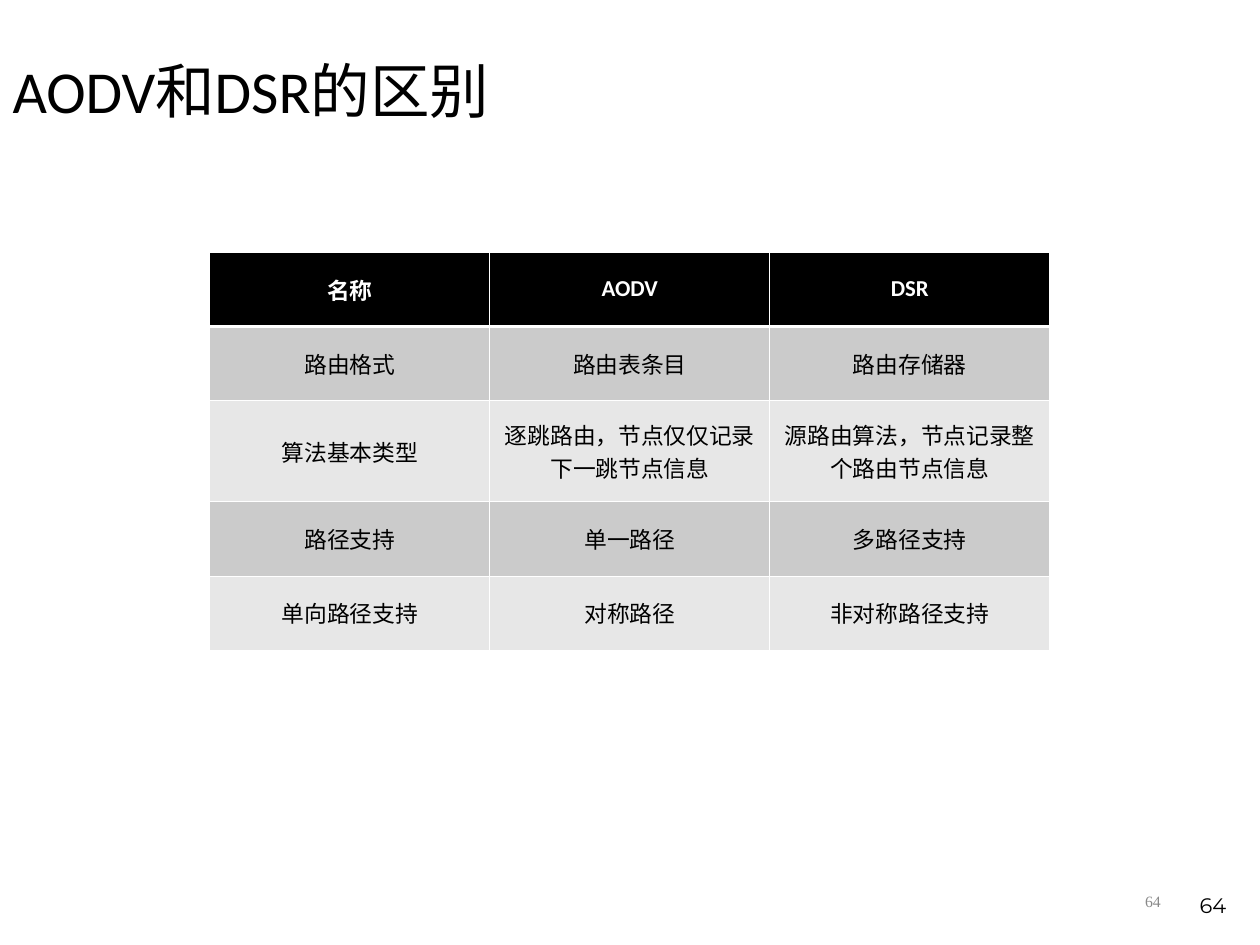
from lxml.etree import SubElement
from pptx import Presentation
from pptx.dml.color import RGBColor
from pptx.enum.text import MSO_ANCHOR as Anchor, PP_ALIGN as Align
from pptx.oxml.ns import qn
from pptx.util import Cm, Pt


def format_text(paragraph, size, font_name, color, align, bold=False):
    paragraph.alignment = align
    for run in paragraph.runs:
        run.font.size = Pt(size)
        run.font.name = font_name
        run.font.bold = bold
        run.font.color.rgb = RGBColor.from_string(color)


def add_border(cell, side, width):
    """Draw a white line on one side (lnL, lnR, lnT or lnB); call before the fill is set."""
    line = SubElement(cell._tc.get_or_add_tcPr(), qn(f"a:{side}"), w=str(Pt(width)))
    solid = SubElement(line, qn("a:solidFill"))
    SubElement(solid, qn("a:srgbClr"), val="FFFFFF")


prs = Presentation()
prs.slide_width, prs.slide_height = Cm(25.4), Cm(19.05)
slide = prs.slides.add_slide(prs.slide_layouts[5])

title = slide.shapes.title
title.left, title.top, title.width, title.height = Cm(0), Cm(0.64), Cm(22.28), Cm(2.54)
title.text_frame.text = "AODV和DSR的区别"
title.text_frame.vertical_anchor = Anchor.MIDDLE
heading = title.text_frame.paragraphs[0]
heading.line_spacing = 0.9
format_text(heading, 34, "Calibri", "000000", Align.LEFT)

# left, top, width, height, anchor, size, font, colour
page_numbers = [
    (17.93, 17.65, 5.72, 1.02, Anchor.MIDDLE, 9, "Times New Roman", "898989"),
    (19.05, 17.35, 5.92, 1.27, Anchor.BOTTOM, 12, "Montserrat", "000000"),
]
for left, top, width, height, anchor, size, font_name, color in page_numbers:
    number = slide.shapes.add_textbox(Cm(left), Cm(top), Cm(width), Cm(height)).text_frame
    number.word_wrap = True
    number.vertical_anchor = anchor
    number.text = "64"
    format_text(number.paragraphs[0], size, font_name, color, Align.RIGHT)

comparison = [
    ("名称", "AODV", "DSR"),
    ("路由格式", "路由表条目", "路由存储器"),
    ("算法基本类型", "逐跳路由，节点仅仅记录下一跳节点信息", "源路由算法，节点记录整个路由节点信息"),
    ("路径支持", "单一路径", "多路径支持"),
    ("单向路径支持", "对称路径", "非对称路径支持"),
]
row_heights = [1.5, 1.5, 2.03, 1.5, 1.5]
row_fills = ["000000", "CBCBCB", "E7E7E7", "CBCBCB", "E7E7E7"]
thin, thick = 0.45, 1.47

table = slide.shapes.add_table(
    len(comparison), 3, Cm(4.23), Cm(5.08), Cm(16.93), Cm(sum(row_heights))
).table
for r, labels in enumerate(comparison):
    table.rows[r].height = Cm(row_heights[r])
    is_header = r == 0
    for c, label in enumerate(labels):
        cell = table.cell(r, c)
        add_border(cell, "lnL", thin)
        add_border(cell, "lnR", thin)
        add_border(cell, "lnT", thick if r == 1 else thin)
        add_border(cell, "lnB", thick if is_header else thin)
        cell.fill.solid()
        cell.fill.fore_color.rgb = RGBColor.from_string(row_fills[r])
        cell.vertical_anchor = Anchor.MIDDLE
        cell.text_frame.text = label
        text_color = "FFFFFF" if is_header else "000000"
        format_text(cell.text_frame.paragraphs[0], 13, "Calibri", text_color, Align.CENTER, is_header)

prs.save("out.pptx")
